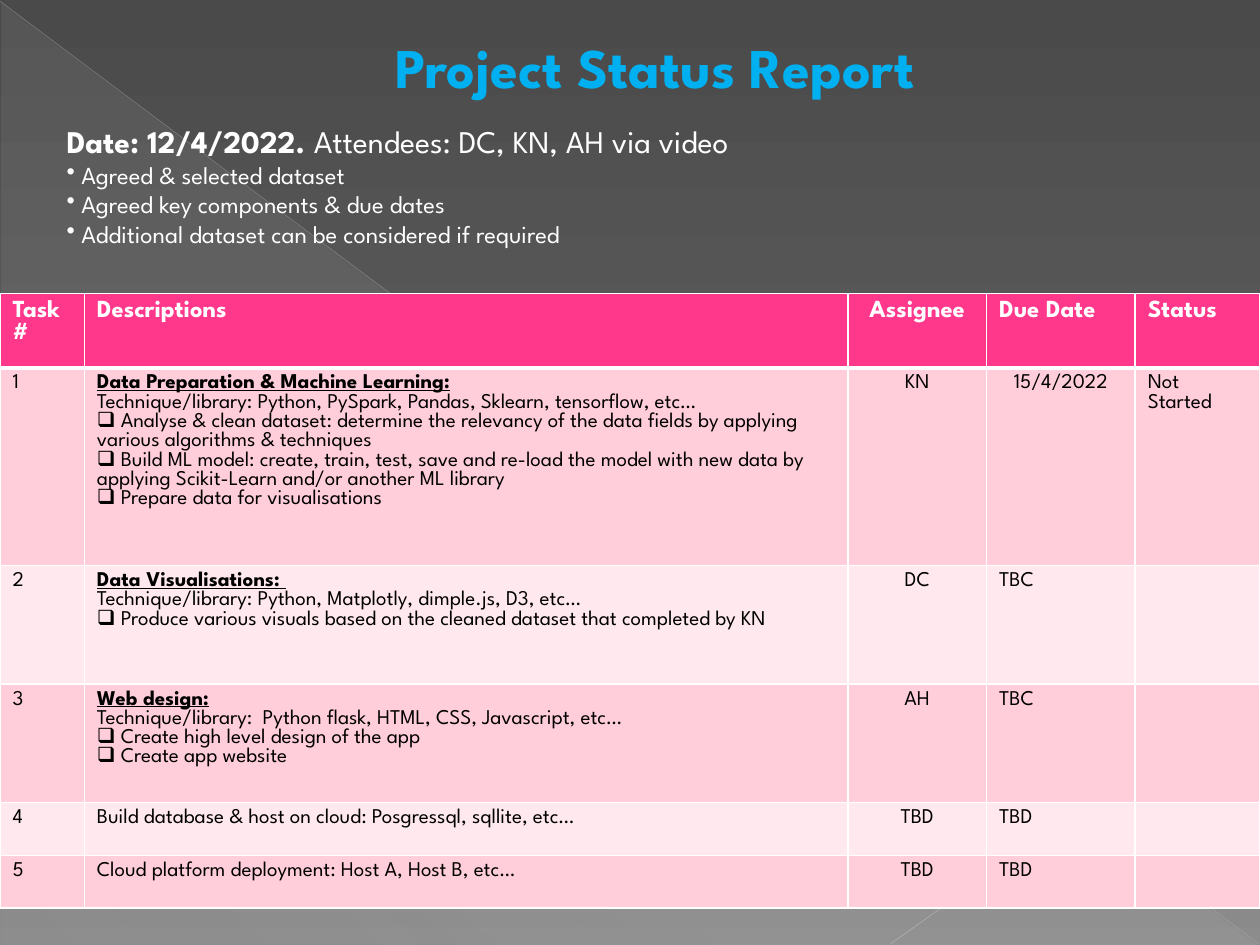
from lxml import etree
from pptx import Presentation
from pptx import util as u
from pptx.dml.color import RGBColor
from pptx.enum import shapes, text
from pptx.oxml import ns

FONT = "League Spartan"
CENTER = text.PP_ALIGN.CENTER
BOX, DOT = "\u2751", "\u2022"
COLS = [0.67, 6.06, 1.1, 1.18, 0.99]
ROWS = [0.59, 1.57, 0.94, 0.94, 0.42, 0.42]
HEADER = ["Task #", "Descriptions", "Assignee", "Due Date", "Status"]
TASKS = [
    (["Data Preparation & Machine Learning:",
      "Technique/library: Python, PySpark, Pandas, Sklearn, tensorflow, etc…",
      "Analyse & clean dataset: determine the relevancy of the data fields by "
      "applying various algorithms & techniques",
      "Build ML model: create, train, test, save and re-load the model with new "
      "data by applying Scikit-Learn and/or another ML library",
      "Prepare data for visualisations"], "KN", "15/4/2022", "Not Started"),
    (["Data Visualisations: ",
      "Technique/library: Python, Matplotly, dimple.js, D3, etc…",
      "Produce various visuals based on the cleaned dataset that completed by KN"],
     "DC", "TBC", ""),
    (["Web design:",
      "Technique/library:  Python flask, HTML, CSS, Javascript, etc…",
      "Create high level design of the app",
      "Create app website"], "AH", "TBC", ""),
    (["Build database & host on cloud: Posgressql, sqllite, etc…"], "TBD", "TBD", ""),
    (["Cloud platform deployment: Host A, Host B, etc…"], "TBD", "TBD", ""),
]


def rgb(value):
    """Turn a hex string into a colour."""
    return RGBColor.from_string(value)


def sub(parent, tag, **attrs):
    """Append a drawing element with the given attributes."""
    el = etree.SubElement(parent, ns.qn("a:" + tag))
    for name, value in attrs.items():
        el.set(name, str(value))
    return el


def gradient(fill, owner, stops, angle):
    """Fill with stops of position, colour and opacity in percent."""
    fill.gradient()
    grad = next(owner.iter(ns.qn("a:gradFill")))
    for child in list(grad):
        grad.remove(child)
    stop_list = sub(grad, "gsLst")
    for pos, color, opacity in stops:
        clr = sub(sub(stop_list, "gs", pos=pos * 1000), "srgbClr", val=color)
        sub(clr, "alpha", val=opacity * 1000)
    sub(grad, "lin", ang=angle * 60000, scaled=0)


def add_triangle(s):
    """Draw the faint triangle across the slide."""
    sp = s.shapes.add_shape(shapes.MSO_SHAPE.RIGHT_TRIANGLE, u.Inches(0.01),
                            u.Inches(0.02), u.Inches(9.98), u.Inches(7.48))
    sp.shadow.inherit = False
    sp.line.fill.background()
    gradient(sp.fill, sp._element,
             [(0, "D2D2D2", 10), (70, "D2D2D2", 8), (100, "D2D2D2", 1)], 133)


def add_line(s, ends, color, width, opacity):
    """Draw a thin translucent line."""
    sp = s.shapes.add_connector(shapes.MSO_CONNECTOR.STRAIGHT,
                                *[u.Inches(v) for v in ends])
    sp.line.color.rgb = rgb(color)
    sp.line.width = u.Pt(width)
    sub(next(sp._element.iter(ns.qn("a:srgbClr"))), "alpha", val=opacity * 1000)
    sub(sp._element.spPr, "effectLst")


def style(p, size, color, bold=False, align=None, bullet=None):
    """Set the font, alignment and bullet of a paragraph."""
    p.font.name, p.font.size, p.font.bold = FONT, u.Pt(size), bold
    p.font.color.rgb = rgb(color)
    p.alignment = align
    if bullet:
        pPr = p._p.get_or_add_pPr()
        pPr.set("marL", "0")
        pPr.set("indent", "0")
        el = etree.Element(ns.qn("a:buChar"), char=bullet)
        pPr.insert_element_before(el, "a:tabLst", "a:defRPr", "a:extLst")


def paragraphs(tf, count):
    """Return the given number of paragraphs of a text frame."""
    return [tf.paragraphs[0]] + [tf.add_paragraph() for _ in range(count - 1)]


def add_text(s, left, top, width, height, count):
    """Add a wrapping text box and return its paragraphs."""
    sp = s.shapes.add_textbox(*[u.Inches(v) for v in (left, top, width, height)])
    tf = sp.text_frame
    tf.word_wrap = True
    return paragraphs(tf, count)


def add_notes_block(s):
    """Add the meeting date, attendees and agreed points."""
    points = ["Agreed & selected dataset", "Agreed key components & due dates",
              "Additional dataset can be considered if required"]
    first, *rest = add_text(s, 0.43, 0.92, 7.64, 1.11, 1 + len(points))
    style(first, 18, "FFFFFF")
    r = first.add_run()
    r.text, r.font.bold = "Date: 12/4/2022. ", True
    first.add_run().text = "Attendees: DC, KN, AH via video"
    for p, point in zip(rest, points):
        p.text = " " + point
        style(p, 14, "FFFFFF", bullet=DOT)


def paint_cell(cell, color, bottom):
    """Give a cell white borders and a solid fill."""
    tcPr = cell._tc.get_or_add_tcPr()
    for side, width in (("L", 1), ("R", 1), ("T", 1), ("B", bottom)):
        ln = sub(tcPr, "ln" + side, w=u.Pt(width))
        sub(sub(ln, "solidFill"), "srgbClr", val="FFFFFF")
    cell.fill.solid()
    cell.fill.fore_color.rgb = rgb(color)


def fill_description(cell, lines):
    """Write a task heading, its techniques and its checklist."""
    for i, (p, line) in enumerate(zip(paragraphs(cell.text_frame, len(lines)), lines)):
        heading = i == 0 and len(lines) > 1
        p.text = " " + line if i > 1 else line
        style(p, 12, "000000", heading, bullet=BOX if i > 1 else None)
        if heading:
            p.font.underline = True


def add_tasks(s):
    """Add the task table."""
    table = s.shapes.add_table(len(ROWS), len(COLS), 0, u.Inches(2.33),
                               u.Inches(10), u.Inches(sum(ROWS))).table
    for col, width in zip(table.columns, COLS):
        col.width = u.Inches(width)
    for row, height in zip(table.rows, ROWS):
        row.height = u.Inches(height)
    for c, title in enumerate(HEADER):
        cell = table.cell(0, c)
        cell.text = title
        style(cell.text_frame.paragraphs[0], 14, "FFFFFF", True,
              CENTER if title == "Assignee" else None)
        paint_cell(cell, "FF388C", 3)
    for n, (lines, *details) in enumerate(TASKS, 1):
        for c, value in enumerate([str(n), lines, *details]):
            cell = table.cell(n, c)
            if c == 1:
                fill_description(cell, value)
            else:
                cell.text = value
                centered = c == 2 or "/" in value
                style(cell.text_frame.paragraphs[0], 12, "000000",
                      align=CENTER if centered else None)
            paint_cell(cell, "FFCEDA" if n % 2 else "FFE8EE", 1)


def main():
    """Build the status report slide."""
    prs = Presentation()
    prs.slide_width, prs.slide_height = u.Inches(10), u.Inches(7.5)
    s = prs.slides.add_slide(prs.slide_layouts[6])
    gradient(s.background.fill, s._element,
             [(0, "4A4A4A", 100), (60, "626262", 100), (100, "8C8C8C", 100)], 90)
    add_triangle(s)
    add_line(s, (0, 0.01, 9.99, 7.49), "BFBFBF", 0.39, 35)
    add_line(s, (10, 5.41, 7.07, 7.49), "C6C6C6", 0.47, 45)
    add_tasks(s)
    title = add_text(s, 1.3, 0.21, 7.8, 0.64, 1)[0]
    title.text = "Project Status Report"
    style(title, 32, "00B0F0", True, CENTER)
    add_notes_block(s)
    prs.save("out.pptx")


main()
